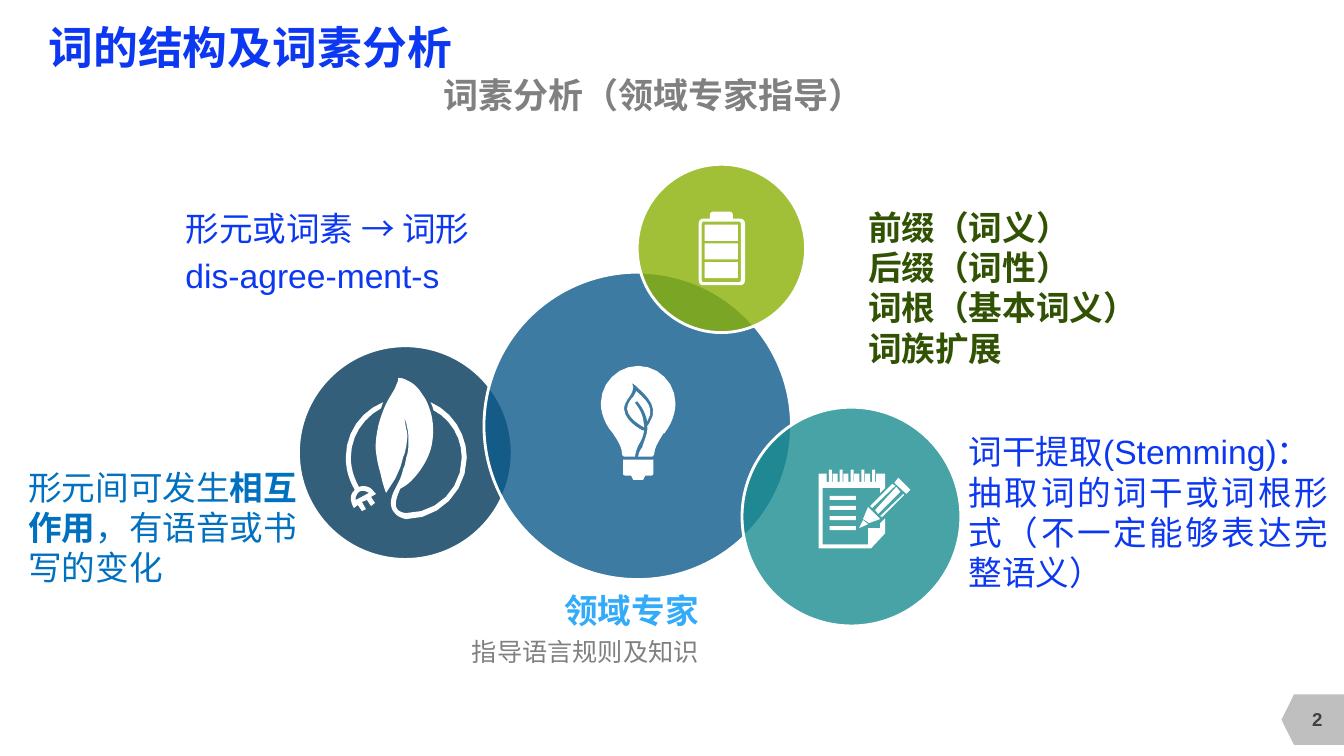
from dataclasses import dataclass

import pptx
import pptx.dml.color
import pptx.enum.shapes
import pptx.enum.text
import pptx.oxml
import pptx.oxml.ns
import pptx.util

Inches = pptx.util.Inches
Shapes = pptx.enum.shapes.MSO_SHAPE
Align = pptx.enum.text.PP_ALIGN
Anchor = pptx.enum.text.MSO_ANCHOR


@dataclass(frozen=True)
class Theme:
    font: str = "Arial"
    white: str = "FFFFFF"
    blue: str = "0D38F1"
    mid_blue: str = "0070C0"
    sky: str = "32ACFA"
    olive: str = "315203"
    gray: str = "808080"
    tag: str = "BFBFBF"
    tag_text: str = "404040"
    leaf_circle: str = "023759"
    expert_circle: str = "0E5A8B"
    stem_circle: str = "198C8F"
    affix_circle: str = "8BB106"
    title_size: float = 32
    subtitle_size: float = 25
    text_size: float = 24
    note_size: float = 18
    number_size: float = 13.3


THEME = Theme()

# Outlines: a pair is a corner, six numbers are a cubic curve.
BULB_BASE = [[(6.18, 4.56), (6.18, 4.7), (6.18, 4.71, 6.19, 4.72, 6.21, 4.72), (6.26, 4.72),
              (6.28, 4.76), (6.38, 4.76), (6.4, 4.72), (6.45, 4.72),
              (6.47, 4.72, 6.48, 4.71, 6.48, 4.7), (6.48, 4.56)]]
BULB_GLASS = [[(6.33, 3.63), (6.13, 3.63, 5.96, 3.8, 5.96, 4), (5.96, 4.1, 6, 4.21, 6.08, 4.3),
               (6.09, 4.32, 6.17, 4.42, 6.17, 4.5), (6.17, 4.52, 6.18, 4.53, 6.2, 4.53),
               (6.3, 4.53), (6.3, 4.51, 6.31, 4.47, 6.33, 4.42),
               (6.36, 4.38, 6.38, 4.32, 6.39, 4.27), (6.37, 4.27),
               (6.32, 4.24, 6.2, 4.17, 6.19, 4.06), (6.19, 4.02, 6.21, 3.98, 6.24, 3.94),
               (6.26, 3.91, 6.28, 3.88, 6.28, 3.84), (6.27, 3.8), (6.31, 3.83), (6.33, 3.85),
               (6.43, 3.94, 6.54, 4.05, 6.44, 4.2), (6.42, 4.23),
               (6.43, 4.29, 6.39, 4.37, 6.37, 4.44), (6.35, 4.46, 6.33, 4.51, 6.33, 4.53),
               (6.47, 4.53), (6.48, 4.52, 6.49, 4.51, 6.49, 4.5),
               (6.49, 4.43, 6.56, 4.34, 6.58, 4.3), (6.59, 4.3),
               (6.66, 4.21, 6.7, 4.1, 6.7, 4), (6.7, 3.8, 6.53, 3.63, 6.33, 3.63)]]
BULB_LEAF = [[(6.32, 3.98), (6.38, 4.05, 6.4, 4.1, 6.42, 4.18),
              (6.5, 4.05, 6.41, 3.97, 6.31, 3.88), (6.3, 3.91, 6.28, 3.94, 6.26, 3.96),
              (6.24, 3.99, 6.22, 4.02, 6.22, 4.06), (6.23, 4.15, 6.35, 4.22, 6.39, 4.24),
              (6.38, 4.13, 6.36, 4.08, 6.3, 4), (6.29, 4)]]
LEAF = [[(4.27, 3.99), (4.28, 4.01, 4.29, 4.03, 4.3, 4.07), (4.47, 4.16, 4.58, 4.34, 4.58, 4.54),
         (4.58, 4.85, 4.34, 5.09, 4.03, 5.09), (4.03, 5.09, 3.97, 5.09, 3.94, 5.05),
         (3.91, 5.01, 3.93, 4.94, 3.97, 4.85), (4, 4.83, 4.04, 4.81, 4.07, 4.78),
         (4.12, 4.73, 4.17, 4.67, 4.21, 4.6), (4.25, 4.53, 4.28, 4.46, 4.29, 4.37),
         (4.3, 4.29, 4.3, 4.21, 4.28, 4.12), (4.26, 4.04, 4.23, 3.96, 4.18, 3.9),
         (4.14, 3.83, 4.08, 3.79, 4.03, 3.77), (4.01, 3.76, 3.99, 3.75, 3.95, 3.75),
         (3.95, 3.78, 3.94, 3.8, 3.93, 3.82), (3.92, 3.86, 3.89, 3.9, 3.86, 3.95),
         (3.81, 4.04, 3.76, 4.16, 3.74, 4.29), (3.73, 4.35, 3.72, 4.42, 3.73, 4.49),
         (3.74, 4.55, 3.75, 4.62, 3.77, 4.68), (3.78, 4.73, 3.81, 4.85, 3.83, 4.89),
         (3.86, 4.84, 3.89, 4.8, 3.92, 4.75), (3.94, 4.71, 3.95, 4.68, 3.97, 4.64),
         (3.98, 4.61, 3.99, 4.57, 4, 4.53), (4.02, 4.5, 4.02, 4.46, 4.03, 4.43),
         (4.04, 4.34), (4.04, 4.31, 4.04, 4.28, 4.03, 4.26), (4.02, 4.2), (4.01, 4.14),
         (4.03, 4.2), (4.04, 4.25), (4.05, 4.28, 4.05, 4.31, 4.05, 4.34), (4.05, 4.44),
         (4.05, 4.47, 4.04, 4.51, 4.03, 4.54), (4.02, 4.58, 4.02, 4.62, 4, 4.65),
         (3.99, 4.69, 3.98, 4.73, 3.96, 4.77), (3.93, 4.83), (3.9, 4.89),
         (3.87, 4.96, 3.87, 5.03, 3.9, 5.07), (3.94, 5.14, 4.03, 5.15, 4.03, 5.15),
         (4.36, 5.15, 4.63, 4.87, 4.63, 4.54), (4.63, 4.3, 4.48, 4.08, 4.27, 3.99)]]
PLUG = [[(3.71, 4.88), (3.68, 4.83, 3.62, 4.81, 3.56, 4.83), (3.51, 4.74, 3.48, 4.64, 3.48, 4.54),
         (3.48, 4.33, 3.6, 4.15, 3.78, 4.05), (3.8, 3.99), (3.58, 4.08, 3.43, 4.29, 3.43, 4.54),
         (3.43, 4.65, 3.46, 4.76, 3.52, 4.86), (3.47, 4.9, 3.47, 4.96, 3.5, 5.02), (3.51, 5.04),
         (3.55, 5.01), (3.59, 5.07), (3.63, 5.05), (3.59, 4.98), (3.64, 4.96), (3.68, 5.02),
         (3.72, 4.99), (3.68, 4.93), (3.73, 4.9)],
        [(3.53, 4.96), (3.52, 4.94, 3.54, 4.9, 3.56, 4.88), (3.59, 4.86, 3.63, 4.87, 3.66, 4.89)]]
BATTERY = [[(7.34, 2.17), (7.27, 2.17), (7.27, 2.14), (7.27, 2.12, 7.26, 2.1, 7.24, 2.1),
            (7.07, 2.1), (7.05, 2.1, 7.04, 2.12, 7.04, 2.14), (7.04, 2.17), (6.97, 2.17),
            (6.95, 2.17, 6.93, 2.19, 6.93, 2.22), (6.93, 2.78),
            (6.93, 2.81, 6.95, 2.83, 6.97, 2.83), (7.34, 2.83),
            (7.37, 2.83, 7.39, 2.81, 7.39, 2.78), (7.39, 2.22),
            (7.39, 2.19, 7.37, 2.17, 7.34, 2.17)],
           [(7.35, 2.78), (7.34, 2.8), (6.97, 2.8), (6.96, 2.78), (6.96, 2.22), (6.97, 2.2),
            (7.34, 2.2), (7.35, 2.22)]]
PENCIL = [[(8.73, 5.12), (8.75, 5.13), (8.97, 4.91), (8.96, 4.9)],
          [(8.89, 4.83), (8.68, 5.06), (8.71, 5.1), (8.93, 4.88)],
          [(8.63, 5.02), (8.65, 5.04), (8.88, 4.82), (8.85, 4.8)],
          [(8.73, 5.15), (8.61, 5.03), (8.56, 5.15), (8.62, 5.19)],
          [(8.52, 5.24), (8.61, 5.2), (8.56, 5.16)],
          [(8.91, 4.74), (8.87, 4.79), (8.99, 4.9), (9.03, 4.86)]]


def notebook_outline():
    """Sheet with a folded corner and a comb of tall and short teeth on top."""
    outline = [(8.73, 5.24), (8.61, 5.24), (8.61, 5.4), (8.16, 5.4), (8.16, 4.84), (8.73, 4.84),
               (8.73, 4.89), (8.78, 4.84), (8.78, 4.7), (8.69, 4.7), (8.69, 4.78)]
    for pair in range(5):
        right = 8.68 - 0.107 * pair
        teeth = [(right, right - 0.03, 4.66), (right - 0.05, right - 0.1, 4.7)]
        for start, end, top in teeth if pair < 4 else teeth[:1]:
            outline += [(start, 4.78), (start, top), (end, top), (end, 4.78)]
    return [outline + [(8.2, 4.78), (8.2, 4.7), (8.12, 4.7), (8.12, 5.44), (8.64, 5.44),
                       (8.78, 5.29), (8.78, 5.14), (8.73, 5.19)]]


def rgb(color):
    return pptx.dml.color.RGBColor.from_string(color)


def flatten(outline, steps=6):
    """Turn corners and cubic curves into points in thousandths of an inch."""
    points = [outline[0]]
    for segment in outline[1:]:
        if len(segment) == 2:
            points.append(segment)
            continue
        knots = [points[-1], segment[:2], segment[2:4], segment[4:]]
        for step in range(1, steps + 1):
            t = step / steps
            weights = ((1 - t) ** 3, 3 * t * (1 - t) ** 2, 3 * t * t * (1 - t), t ** 3)
            points.append(tuple(sum(w * knot[axis] for w, knot in zip(weights, knots))
                                for axis in (0, 1)))
    return [(round(x * 1000), round(y * 1000)) for x, y in points]


def paint(shape, color):
    shape.shadow.inherit = False
    shape.fill.solid()
    shape.fill.fore_color.rgb = rgb(color)
    shape.line.fill.background()


def add_outline(shapes, outlines):
    builder = None
    for points in map(flatten, outlines):
        if builder is None:
            builder = shapes.build_freeform(*points[0], scale=Inches(1) / 1000)
        else:
            builder.move_to(*points[0])
        builder.add_line_segments(points[1:], close=True)
    paint(builder.convert_to_shape(), THEME.white)


def add_preset(shapes, kind, box, color):
    shape = shapes.add_shape(kind, *map(Inches, box))
    paint(shape, color)
    return shape


def add_circle(slide, left, top, diameter, color):
    circle = add_preset(slide.shapes, Shapes.OVAL, (left, top, diameter, diameter), color)
    circle.line.color.rgb = rgb(THEME.white)
    circle.line.width = pptx.util.Pt(2)
    fill_color = circle.fill._xPr.find(".//" + pptx.oxml.ns.qn("a:srgbClr"))
    fill_color.append(pptx.oxml.parse_xml(
        f'<a:alpha {pptx.oxml.ns.nsdecls("a")} val="80000"/>'))


def add_icon(slide, outlines, bars=()):
    group = slide.shapes.add_group_shape()
    for outline in outlines:
        add_outline(group.shapes, outline)
    for bar in bars:
        add_preset(group.shapes, Shapes.RECTANGLE, bar, THEME.white)


def write(shape, lines, size, color, bold=False, align=Align.LEFT, anchor=Anchor.TOP,
          inset=(0, 0), gap=0):
    """Fill a shape with paragraphs; words between asterisks are bold."""
    frame = shape.text_frame
    frame.word_wrap = True
    frame.auto_size = pptx.enum.text.MSO_AUTO_SIZE.NONE
    frame.vertical_anchor = anchor
    frame.margin_left = frame.margin_right = Inches(inset[0])
    frame.margin_top = frame.margin_bottom = Inches(inset[1])
    for index, line in enumerate(lines):
        paragraph = frame.add_paragraph() if index else frame.paragraphs[0]
        paragraph.alignment = align
        paragraph.space_before = pptx.util.Pt(gap if index else 0)
        for part, words in enumerate(line.split("*")):
            run = paragraph.add_run()
            run.text = words
            run.font.name = THEME.font
            run.font.size = pptx.util.Pt(size)
            run.font.bold = bold or part % 2 == 1
            run.font.color.rgb = rgb(color)


def add_text(slide, box, lines, size, color, **style):
    write(slide.shapes.add_textbox(*map(Inches, box)), lines, size, color, **style)


def fill_placeholder(shape, box, text, size, color, align):
    shape.left, shape.top, shape.width, shape.height = map(Inches, box)
    properties = shape.text_frame.paragraphs[0]._p.get_or_add_pPr()
    properties.set("marL", "0")
    properties.set("indent", "0")
    properties.append(pptx.oxml.parse_xml(f'<a:buNone {pptx.oxml.ns.nsdecls("a")}/>'))
    write(shape, [text], size, color, bold=True, align=align, anchor=Anchor.MIDDLE)


def main():
    presentation = pptx.Presentation()
    presentation.slide_width, presentation.slide_height = Inches(13.33), Inches(7.5)
    slide = presentation.slides.add_slide(presentation.slide_layouts[1])

    tag = add_preset(slide.shapes, Shapes.FLOWCHART_OFFPAGE_CONNECTOR,
                     (12.77, 6.83, 0.5, 0.62), THEME.tag)
    tag.rotation = 90
    add_text(slide, (12.73, 6.93, 0.67, 0.4), ["2"], THEME.number_size, THEME.tag_text,
             bold=True, align=Align.CENTER, anchor=Anchor.MIDDLE)
    fill_placeholder(slide.shapes.title, (0.48, 0.2, 6.54, 0.52), "词的结构及词素分析",
                     THEME.title_size, THEME.blue, Align.LEFT)
    fill_placeholder(slide.placeholders[1], (3.48, 0.71, 6, 0.45), "词素分析（领域专家指导）",
                     THEME.subtitle_size, THEME.gray, Align.CENTER)

    add_circle(slide, 2.96, 3.43, 2.12, THEME.leaf_circle)
    add_circle(slide, 4.8, 2.7, 3.05, THEME.expert_circle)
    add_circle(slide, 7.36, 4.04, 2.17, THEME.stem_circle)
    add_circle(slide, 6.32, 1.63, 1.67, THEME.affix_circle)

    add_text(slide, (0.28, 4.63, 2.71, 1.21), ["形元间可发生*相互作用*，有语音或书写的变化"],
             THEME.text_size, THEME.mid_blue)
    add_text(slide, (8.61, 2.05, 2.99, 1.62),
             ["前缀（词义）", "后缀（词性）", "词根（基本词义）", "词族扩展"],
             THEME.text_size, THEME.olive, bold=True)
    add_text(slide, (4.05, 6.31, 2.88, 0.52), ["指导语言规则及知识"],
             THEME.note_size, THEME.gray, align=Align.RIGHT)
    add_text(slide, (5.53, 5.85, 1.4, 0.45), ["领域专家"],
             THEME.text_size, THEME.sky, bold=True, align=Align.RIGHT)
    add_text(slide, (1.84, 2.06, 3.2, 1.25), ["形元或词素 → 词形", "dis-agree-ment-s"],
             THEME.text_size, THEME.blue, gap=4.8)
    add_text(slide, (9.51, 4.23, 3.76, 1.72),
             ["词干提取(Stemming)：", "抽取词的词干或词根形式（不一定能够表达完整语义）"],
             THEME.text_size, THEME.blue, align=Align.JUSTIFY, inset=(0.1, 0.05))

    add_icon(slide, [BULB_BASE, BULB_GLASS, BULB_LEAF])
    add_icon(slide, [LEAF, PLUG])
    add_icon(slide, [BATTERY], [(6.99, 2.23 + 0.185 * row, 0.33, 0.16) for row in range(3)])
    add_icon(slide, [[part] for part in PENCIL] + [notebook_outline()],
             [(8.23, 4.92 + 0.1 * row, 0.26, 0.04) for row in range(4)])
    presentation.save("out.pptx")


if __name__ == "__main__":
    main()
